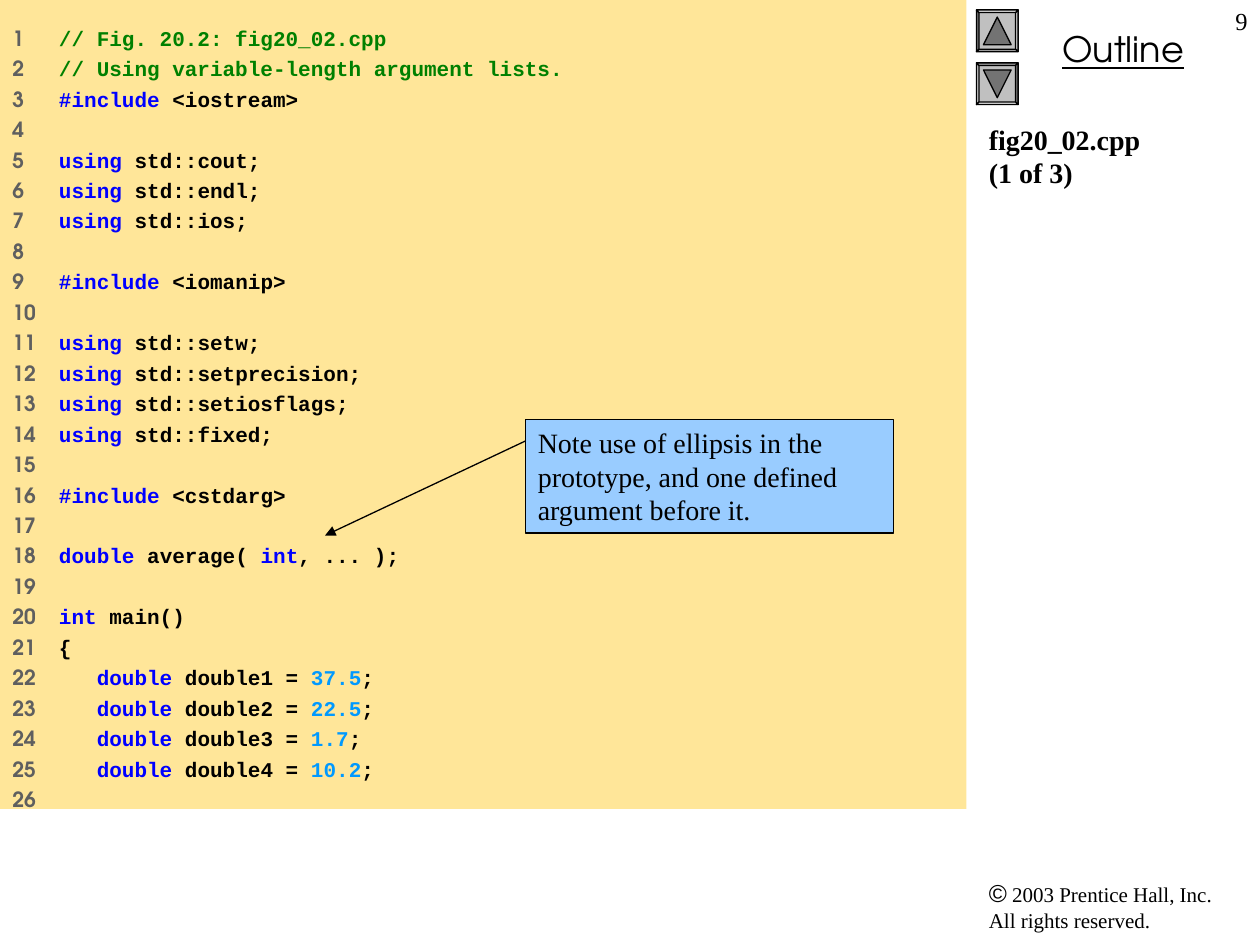
from dataclasses import dataclass

from lxml.etree import SubElement
from pptx import Presentation
from pptx.dml.color import RGBColor
from pptx.enum.shapes import MSO_CONNECTOR, MSO_SHAPE
from pptx.enum.text import MSO_ANCHOR, PP_ALIGN
from pptx.oxml.ns import qn
from pptx.util import Inches, Pt

HUES = {
    "plain": "000000", "note": "008000", "key": "0000FF", "num": "0099FF",
    "count": "5F5F5F", "paper": "FFE699", "call": "99CCFF", "face": "C0C0C0",
    "right": "CDCDCD", "base": "9A9A9A", "left": "737373", "top": "E6E6E6",
}
SERIF, SANS, MONO, ROUND = (
    "Times New Roman", "Arial", "Courier New", "TeX Gyre Adventor")


@dataclass
class Run:
    text: str
    hue: str = "plain"


@dataclass
class Label:
    text: str
    box: tuple[float, float, float, float]
    size: float
    font: str = SERIF
    align: PP_ALIGN = PP_ALIGN.LEFT
    bold: bool = False
    under: bool = False


@dataclass
class Button:
    top: float
    down: bool


def rgb(name: str) -> RGBColor:
    return RGBColor.from_string(HUES[name])


def key(word: str, rest: str) -> list[Run]:
    return [Run(word, "key"), Run(rest)]


def using(name: str) -> list[Run]:
    return key("using", f" std::{name};")


def include(name: str) -> list[Run]:
    return key("#include", f" <{name}>")


def double(index: int, value: str) -> list[Run]:
    return [Run("   double", "key"), Run(f" double{index} = "),
            Run(value, "num"), Run(";")]


CODE = [
    [Run("// Fig. 20.2: fig20_02.cpp", "note")],
    [Run("// Using variable-length argument lists.", "note")],
    include("iostream"),
    [],
    using("cout"), using("endl"), using("ios"),
    [],
    include("iomanip"),
    [],
    using("setw"), using("setprecision"), using("setiosflags"), using("fixed"),
    [],
    include("cstdarg"),
    [],
    key("double", " average( ") + key("int", ", ... );"),
    [],
    key("int", " main()"),
    [Run("{")],
    *[double(i, v) for i, v in enumerate(("37.5", "22.5", "1.7", "10.2"), 1)],
    [],
]
LABELS = [
    Label("Outline", (7.83, 0.17, 2.17, 0.44), 20, ROUND,
          PP_ALIGN.CENTER, under=True),
    Label("fig20_02.cpp\v(1 of 3)", (7.75, 0.92, 2.25, 5.25), 16, bold=True),
    Label("9", (9.5, 0, 0.5, 0.5), 14, align=PP_ALIGN.RIGHT),
]
BUTTONS = [Button(0.08, False), Button(0.5, True)]


def set_frame(shape, pad: float = 0.05):
    frame = shape.text_frame
    frame.word_wrap = True
    frame.vertical_anchor = MSO_ANCHOR.TOP
    frame.margin_left = frame.margin_right = Inches(0.1)
    frame.margin_top = frame.margin_bottom = Inches(pad)
    return frame


def style(font, size: float, name: str, hue: str = "plain") -> None:
    font.size, font.name = Pt(size), name
    font.color.rgb = rgb(hue)


def add_box(slide, box: tuple, hue: str):
    shape = slide.shapes.add_shape(MSO_SHAPE.RECTANGLE, *map(Inches, box))
    shape.shadow.inherit = False
    shape.fill.solid()
    shape.fill.fore_color.rgb = rgb(hue)
    return shape


def add_label(slide, label: Label) -> None:
    frame = set_frame(slide.shapes.add_textbox(*map(Inches, label.box)))
    para = frame.paragraphs[0]
    para.text, para.alignment = label.text, label.align
    style(para.font, label.size, label.font)
    para.font.bold, para.font.underline = label.bold, label.under


def add_rights(slide) -> None:
    box = map(Inches, (7.75, 6.92, 2.17, 0.54))
    para = set_frame(slide.shapes.add_textbox(*box)).paragraphs[0]
    for text, size, font in (("©", 14, SANS),
                             (" 2003 Prentice Hall, Inc.\vAll rights reserved.",
                              12, SERIF)):
        for index, part in enumerate(text.split("\v")):
            if index:
                para.add_line_break()
            run = para.add_run()
            run.text = part
            style(run.font, size, font)


def add_poly(slide, points: list, hue: str) -> None:
    spots = [(Inches(x), Inches(y)) for x, y in points]
    build = slide.shapes.build_freeform(*spots[0], scale=1.0)
    build.add_line_segments(spots[1:], close=True)
    shape = build.convert_to_shape()
    shape.shadow.inherit = False
    shape.fill.solid()
    shape.fill.fore_color.rgb = rgb(hue)
    shape.line.color.rgb = rgb("plain")
    shape.line.width = Pt(0.75)


def add_button(slide, button: Button) -> None:
    sign = -1 if button.down else 1
    mid, row = 7.915, button.top + 0.165

    def place(x: float, y: float) -> tuple[float, float]:
        return mid + sign * x, row + sign * y

    ring = [(1, -1), (1, 1), (-1, 1), (-1, -1)]
    outer = [place(0.165 * x, 0.165 * y) for x, y in ring]
    inner = [place(0.145 * x, 0.145 * y) for x, y in ring]
    add_poly(slide, outer, "face")
    for i, hue in enumerate(("right", "base", "left", "top")):
        j = (i + 1) % 4
        add_poly(slide, [outer[i], outer[j], inner[j], inner[i]], hue)
    tip = [place(0, -0.11), place(0.11, 0.11), place(-0.11, 0.11)]
    add_poly(slide, tip, "left")


def add_code(slide) -> None:
    shape = add_box(slide, (0, 0, 7.67, 6.42), "paper")
    shape.line.fill.background()
    frame = set_frame(shape, 0.2)
    for number, runs in enumerate(CODE, 1):
        para = frame.paragraphs[0] if number == 1 else frame.add_paragraph()
        para.alignment = PP_ALIGN.LEFT
        if number > 1:
            para.space_before = Pt(3)
        tabs = SubElement(para._p.get_or_add_pPr(), qn("a:tabLst"))
        SubElement(tabs, qn("a:tab"), pos=str(Inches(0.37)), algn="l")
        para.font.size, para.font.bold = Pt(12), True
        mark = Run(f"{number}\t" if runs else str(number), "count")
        for part in [mark, *runs]:
            run = para.add_run()
            run.text = part.text
            run.font.name = ROUND if part is mark else MONO
            run.font.color.rgb = rgb(part.hue)


def add_call(slide) -> None:
    shape = add_box(slide, (4.17, 3.33, 2.92, 0.9), "call")
    shape.line.color.rgb = rgb("plain")
    shape.line.width = Pt(0.75)
    para = set_frame(shape).paragraphs[0]
    para.text = ("Note use of ellipsis in the prototype, "
                 "and one defined argument before it.")
    para.alignment = PP_ALIGN.LEFT
    style(para.font, 16, SERIF)
    ends = map(Inches, (4.17, 3.5, 2.58, 4.25))
    arrow = slide.shapes.add_connector(MSO_CONNECTOR.STRAIGHT, *ends)
    arrow.line.color.rgb = rgb("plain")
    arrow.line.width = Pt(0.75)
    SubElement(arrow.line._get_or_add_ln(), qn("a:tailEnd"), type="triangle")
    SubElement(arrow._element.spPr, qn("a:effectLst"))


def main() -> None:
    deck = Presentation()
    deck.slide_width, deck.slide_height = Inches(10), Inches(7.5)
    slide = deck.slides.add_slide(deck.slide_layouts[6])
    # Side column
    add_rights(slide)
    for button in BUTTONS:
        add_button(slide, button)
    for label in LABELS:
        add_label(slide, label)
    # Listing and its callout
    add_code(slide)
    add_call(slide)
    deck.save("out.pptx")


if __name__ == "__main__":
    main()
